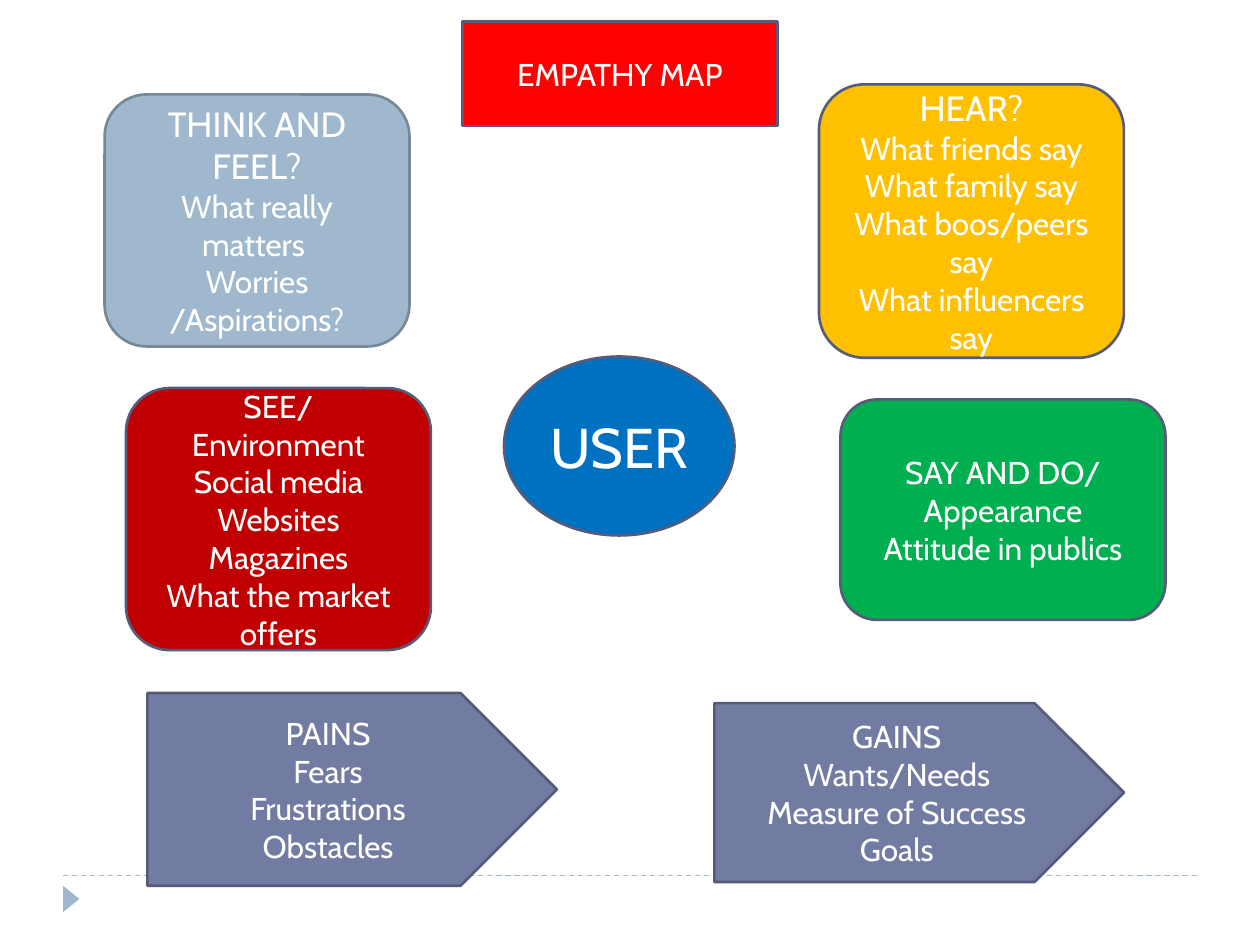
from lxml import etree
from pptx import Presentation
from pptx import util as u
from pptx.dml.color import RGBColor
from pptx.enum import dml, shapes, text
from pptx.oxml.ns import qn

SHAPE = shapes.MSO_SHAPE
WHITE, SLATE, MIST, EDGE = "FFFFFF", "727CA3", "9FB8CD", "545C79"


def color(value):
    """Turn a hex string into a colour."""
    return RGBColor.from_string(value)


class MapPage:
    """Holds the style and the current slide."""

    font = "Cabin"
    body_size = 18

    def __init__(self, deck):
        """Add a title-only slide to the deck."""
        self.page = deck.slides.add_slide(deck.slide_layouts[5])

    def paint(self, box, fill, edge):
        """Set the fill and outline of a box; no edge means no outline."""
        box.fill.solid()
        box.fill.fore_color.rgb = color(fill)
        if edge:
            box.line.color.rgb = color(edge)
            box.line.width = u.Pt(1.5)
        else:
            box.line.fill.background()

    def set_lines(self, box, lines, head_size):
        """Fill a box with centred white lines, the first at heading size."""
        frame = box.text_frame
        frame.word_wrap = True
        frame.auto_size = text.MSO_AUTO_SIZE.NONE
        frame.vertical_anchor = text.MSO_ANCHOR.MIDDLE
        for index, line in enumerate(lines):
            para = frame.add_paragraph() if index else frame.paragraphs[0]
            para.alignment = text.PP_ALIGN.CENTER
            span = para.add_run()
            span.text = line
            span.font.name = self.font
            span.font.size = u.Pt(self.body_size if index else head_size)
            span.font.color.rgb = color(WHITE)

    def title(self, place, line, fill):
        """Turn the title placeholder into a filled banner."""
        box = self.page.shapes.title
        box.left, box.top, box.width, box.height = map(u.Inches, place)
        self.paint(box, fill, EDGE)
        self.set_lines(box, [line], self.body_size)

    def shape(self, kind, place, fill, lines=(), head_size=18, edge=EDGE):
        """Add a preset shape with optional text."""
        box = self.page.shapes.add_shape(kind, *map(u.Inches, place))
        box.shadow.inherit = False
        self.paint(box, fill, edge)
        if lines:
            self.set_lines(box, lines, head_size)
        return box

    def dashed_rule(self, left, right, top):
        """Add a thin horizontal dashed line."""
        rule = self.page.shapes.add_connector(
            shapes.MSO_CONNECTOR.STRAIGHT,
            *map(u.Inches, (left, top, right, top)))
        rule.line.color.rgb = color(MIST)
        rule.line.width = u.Pt(0.75)
        rule.line.dash_style = dml.MSO_LINE.DASH
        etree.SubElement(rule._element.spPr, qn("a:effectLst"))


def main():
    """Build the empathy map."""
    deck = Presentation()
    deck.slide_width, deck.slide_height = u.Inches(10), u.Inches(7.5)
    sheet = MapPage(deck)

    sheet.dashed_rule(0.5, 9.5, 6.95)
    marker = sheet.shape(SHAPE.ISOSCELES_TRIANGLE, (0.46, 7.07, 0.21, 0.13),
                         MIST, edge=None)
    marker.rotation = 90

    sheet.title((3.67, 0.17, 2.5, 0.83), "EMPATHY MAP", "FF0000")
    sheet.shape(SHAPE.OVAL, (4, 2.83, 1.83, 1.42), "0070C0", ["USER"], 32)

    senses = [
        ((0.83, 0.75, 2.42, 2), MIST, "768898", 20,
         ["THINK AND FEEL?", "What really matters ",
          "Worries /Aspirations?"]),
        ((6.5, 0.67, 2.42, 2.17), "FFC000", EDGE, 20,
         ["HEAR?", "What friends say", "What family say",
          "What boos/peers say", "What influencers say"]),
        ((1, 3.08, 2.42, 2.08), "C00000", EDGE, 18,
         ["SEE/", "Environment", "Social media", "Websites", "Magazines",
          "What the market offers"]),
        ((6.67, 3.17, 2.58, 1.75), "00B050", EDGE, 18,
         ["SAY AND DO/", "Appearance", "Attitude in publics"]),
    ]
    for place, fill, edge, head_size, lines in senses:
        sheet.shape(SHAPE.ROUNDED_RECTANGLE, place, fill, lines, head_size,
                    edge)

    outcomes = [
        ((1.17, 5.5, 3.25, 1.53),
         ["PAINS", "Fears", "Frustrations", "Obstacles"]),
        ((5.67, 5.58, 3.25, 1.42),
         ["GAINS", "Wants/Needs", "Measure of Success", "Goals"]),
    ]
    for place, lines in outcomes:
        sheet.shape(SHAPE.PENTAGON, place, SLATE, lines)

    deck.save("out.pptx")


main()
